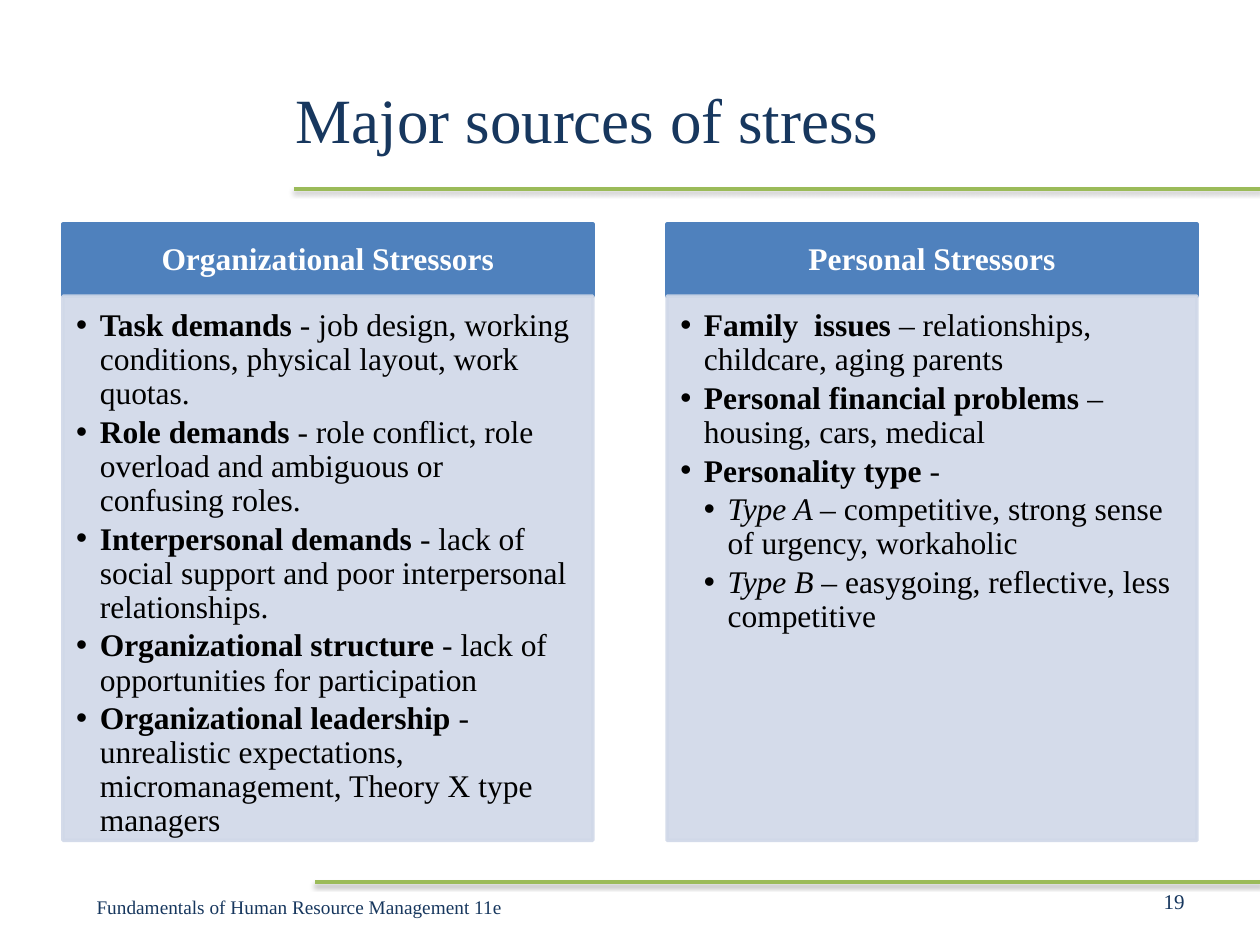
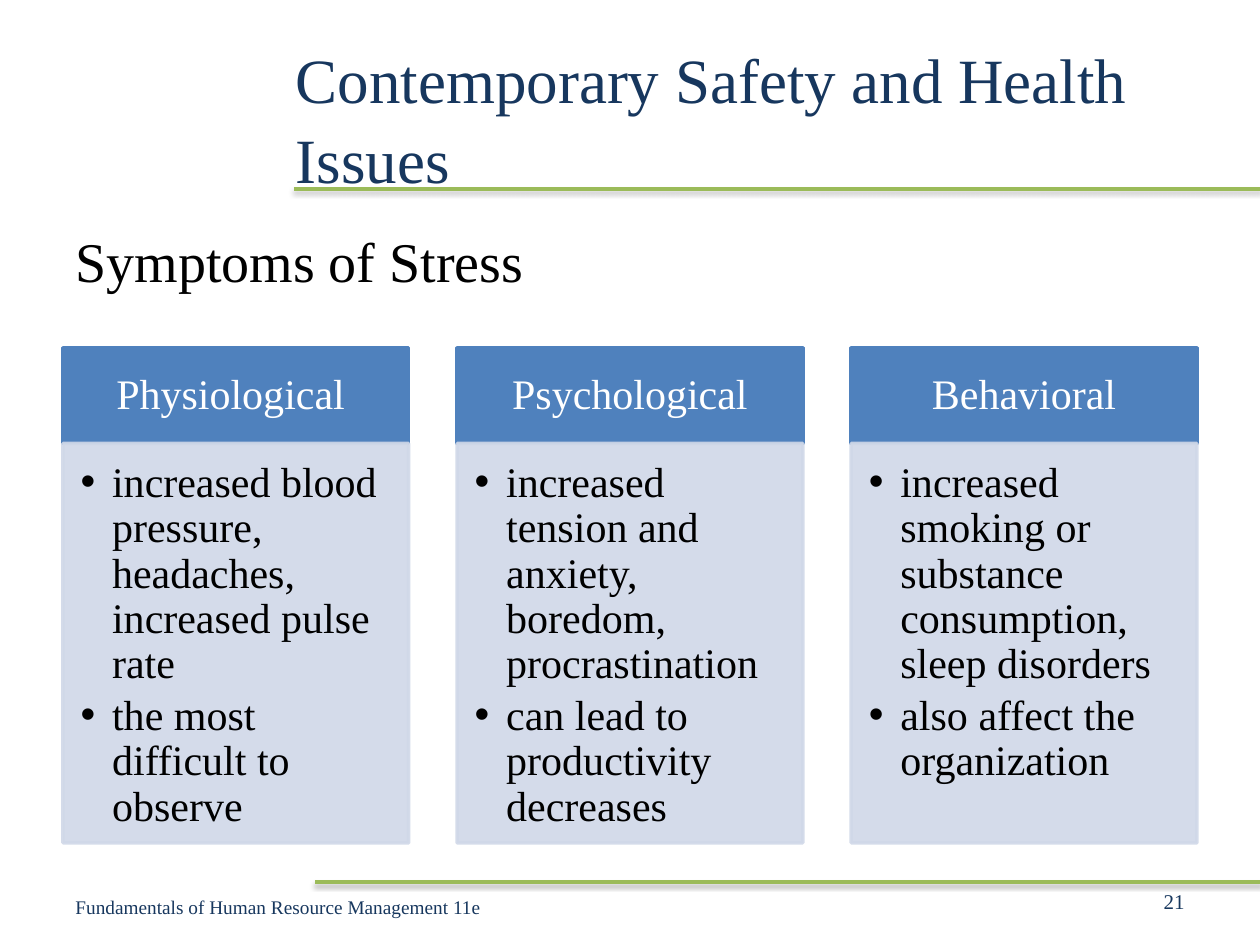
"""Build two slides on the sources and symptoms of workplace stress."""
from dataclasses import dataclass

from lxml import etree
from pptx import Presentation
from pptx.dml.color import RGBColor
from pptx.enum import shapes, text
from pptx.oxml import parse_xml
from pptx.oxml.ns import nsdecls, qn
from pptx.util import Pt

NAVY = RGBColor(0x17, 0x37, 0x5E)
GREEN = RGBColor(0x9B, 0xBB, 0x59)
BLUE = RGBColor(0x4F, 0x81, 0xBD)
PALE = RGBColor(0xD0, 0xD8, 0xE8)
WHITE = RGBColor(0xFF, 0xFF, 0xFF)
BLACK = RGBColor(0, 0, 0)

FONT = "Times New Roman"
FOOTER = "Fundamentals of Human Resource Management 11e"
PAGE_WIDTH = 720
MARGIN = 36
GAP_RATIO = 0.14
LEFT, CENTER, RIGHT = text.PP_ALIGN.LEFT, text.PP_ALIGN.CENTER, text.PP_ALIGN.RIGHT
TOP, MIDDLE = text.MSO_ANCHOR.TOP, text.MSO_ANCHOR.MIDDLE


@dataclass(frozen=True)
class Span:
    """A piece of text in one style."""
    words: str
    bold: bool = False
    italic: bool = False


@dataclass(frozen=True)
class Bullet:
    """A bulleted paragraph and its depth."""
    spans: tuple[Span, ...]
    level: int = 1


@dataclass(frozen=True)
class Card:
    """A heading above a panel of bullets."""
    heading: str
    bullets: tuple[Bullet, ...]


@dataclass(frozen=True)
class CardRow:
    """Cards side by side, scaled from their text size."""
    top: float
    panel_height: float
    size: float
    bold_heading: bool
    cards: tuple[Card, ...]


@dataclass(frozen=True)
class Rule:
    """A green line running to the right edge."""
    left: float
    top: float


RULES = (Rule(168, 108), Rule(180, 504))


def stressor(lead: str, dash: str, rest: str = "") -> Bullet:
    """Return a bullet with a bold lead and an italic dash."""
    return Bullet((Span(lead, bold=True), Span(dash, italic=True), Span(rest)))


def personality(lead: str, rest: str) -> Bullet:
    """Return a second-level bullet with an italic lead."""
    return Bullet((Span(lead, italic=True), Span(rest)), level=2)


def symptom_card(heading: str, *symptoms: str) -> Card:
    """Return a card of plain bullets."""
    return Card(heading, tuple(Bullet((Span(symptom),)) for symptom in symptoms))


STRESSORS = CardRow(128.16, 311.04, 18, True, (
    Card("Organizational Stressors", (
        stressor("Task demands ", "-",
                 " job design, working conditions, physical layout, work quotas."),
        stressor("Role demands ", "-",
                 " role conflict, role overload and ambiguous or confusing roles."),
        stressor("Interpersonal demands ", "- ",
                 "lack of social support and poor interpersonal relationships."),
        stressor("Organizational structure ", "- ",
                 "lack of opportunities for participation"),
        stressor("Organizational leadership ", "-",
                 " unrealistic expectations, micromanagement, Theory X type managers"),
    )),
    Card("Personal Stressors", (
        stressor("Family  issues ", "– ", "relationships, childcare, aging parents"),
        stressor("Personal financial problems ", "– ", "housing, cars, medical"),
        stressor("Personality type ", "-"),
        personality("Type A – ", "competitive, strong sense of urgency, workaholic"),
        personality("Type B ", "– easygoing, reflective, less competitive"),
    )),
))

SYMPTOMS = CardRow(198.72, 228.24, 24, False, (
    symptom_card("Physiological ",
                 "increased blood pressure, headaches, increased pulse rate",
                 "the most difficult to observe"),
    symptom_card("Psychological",
                 "increased tension and anxiety, boredom, procrastination",
                 "can lead to productivity decreases"),
    symptom_card("Behavioral",
                 "increased smoking or substance consumption, sleep disorders",
                 "also affect the organization"),
))


def style_span(span, size: float, color: RGBColor, bold=False, italic=False) -> None:
    """Set the font of a run."""
    font = span.font
    font.name, font.size, font.bold, font.italic = FONT, Pt(size), bold, italic
    font.color.rgb = color


def set_margins(frame, left: float, top: float, right: float, bottom: float) -> None:
    """Set the text insets of a wrapped frame."""
    frame.word_wrap = True
    frame.margin_left, frame.margin_top = Pt(left), Pt(top)
    frame.margin_right, frame.margin_bottom = Pt(right), Pt(bottom)


def add_label(page, words: str, left: float, top: float, width: float, height: float,
              size: float, color: RGBColor = NAVY, align=LEFT, anchor=MIDDLE):
    """Add a one-paragraph text box and return its paragraph."""
    box = page.shapes.add_textbox(Pt(left), Pt(top), Pt(width), Pt(height))
    frame = box.text_frame
    frame.text = words
    set_margins(frame, 7.2, 3.6, 7.2, 3.6)
    frame.vertical_anchor = anchor
    para = frame.paragraphs[0]
    para.alignment = align
    style_span(para.runs[0], size, color)
    return para


def add_rule(page, rule: Rule) -> None:
    """Draw a green line with a soft shadow below."""
    line = page.shapes.add_connector(shapes.MSO_CONNECTOR.STRAIGHT, Pt(rule.left),
                                     Pt(rule.top), Pt(PAGE_WIDTH), Pt(rule.top))
    line.line.color.rgb = GREEN
    line.line.width = Pt(2)
    line._element.spPr.append(parse_xml(
        f'<a:effectLst {nsdecls("a")}><a:outerShdw blurRad="{Pt(3.1)}" dist="{Pt(1.6)}" '
        'dir="5400000" rotWithShape="0"><a:srgbClr val="000000"><a:alpha val="38000"/>'
        '</a:srgbClr></a:outerShdw></a:effectLst>'))


def add_block(page, left: float, top: float, width: float, height: float, color: RGBColor):
    """Add a rectangle with matching fill and outline."""
    block = page.shapes.add_shape(shapes.MSO_SHAPE.RECTANGLE, Pt(left), Pt(top),
                                  Pt(width), Pt(height))
    block.shadow.inherit = False
    block.fill.solid()
    block.fill.fore_color.rgb = color
    block.line.color.rgb = color
    block.line.width = Pt(2)
    return block


def add_bullet(para, bullet: Bullet, size: float) -> None:
    """Write one bullet with a hanging indent."""
    indent = 0.75 * size
    para.level = bullet.level
    para.alignment = LEFT
    para.line_spacing = 0.9
    para.space_after = Pt(0.15 * size)
    properties = para._p.get_or_add_pPr()
    properties.set("marL", str(Pt(indent * bullet.level)))
    properties.set("indent", str(-Pt(indent)))
    etree.SubElement(properties, qn("a:buFont"), typeface="Arial")
    etree.SubElement(properties, qn("a:buChar"), char="•")
    for piece in bullet.spans:
        if piece.words:
            span = para.add_run()
            span.text = piece.words
            style_span(span, size, BLACK, piece.bold, piece.italic)


def add_card(page, card: Card, row: CardRow, left: float, width: float) -> None:
    """Draw a heading block and the panel below it."""
    size = row.size
    heading_height = 2.28 * size
    heading = add_block(page, left, row.top, width, heading_height, BLUE)
    frame = heading.text_frame
    frame.text = card.heading
    set_margins(frame, 0.56 * size, 0.32 * size, 0.56 * size, 0.32 * size)
    frame.vertical_anchor = MIDDLE
    para = frame.paragraphs[0]
    para.alignment = CENTER
    para.line_spacing = 0.9
    style_span(para.runs[0], size, WHITE, row.bold_heading)

    panel = add_block(page, left, row.top + heading_height, width, row.panel_height, PALE)
    for color in panel._element.spPr.iter(qn("a:srgbClr")):
        etree.SubElement(color, qn("a:alpha"), val="90000")
    frame = panel.text_frame
    set_margins(frame, 0.42 * size, 0.42 * size, 0.56 * size, 0.63 * size)
    frame.vertical_anchor = TOP
    for index, bullet in enumerate(card.bullets):
        para = frame.add_paragraph() if index else frame.paragraphs[0]
        add_bullet(para, bullet, size)


def add_card_row(page, row: CardRow) -> None:
    """Spread the cards evenly between the margins."""
    count = len(row.cards)
    width = (PAGE_WIDTH - 2 * MARGIN) / (count + GAP_RATIO * (count - 1))
    for index, card in enumerate(row.cards):
        add_card(page, card, row, MARGIN + index * width * (1 + GAP_RATIO), width)


def add_page(deck, title: str, number: int, footer_align):
    """Add a page with its title, rules, number and footer."""
    page = deck.slides.add_slide(deck.slide_layouts[6])
    for rule in RULES:
        add_rule(page, rule)
    add_label(page, title, 162, 21.6, 522, 90, 36).line_spacing = 1.05
    add_label(page, str(number), 516, 500.4, 168, 28.8, 12, align=RIGHT)
    add_label(page, FOOTER, MARGIN, 504, 270, 28.8, 11, align=footer_align)
    return page


def main() -> None:
    """Build and save the deck."""
    deck = Presentation()
    deck.slide_width, deck.slide_height = Pt(PAGE_WIDTH), Pt(540)

    page = add_page(deck, "Major sources of stress", 19, CENTER)
    add_card_row(page, STRESSORS)

    page = add_page(deck, "Contemporary Safety and Health Issues", 21, LEFT)
    subtitle = add_label(page, "Symptoms of Stress", MARGIN, 126, 648, 356.4, 32,
                         BLACK, anchor=TOP)
    subtitle.space_before = Pt(5)
    add_card_row(page, SYMPTOMS)

    deck.save("out.pptx")


if __name__ == "__main__":
    main()
